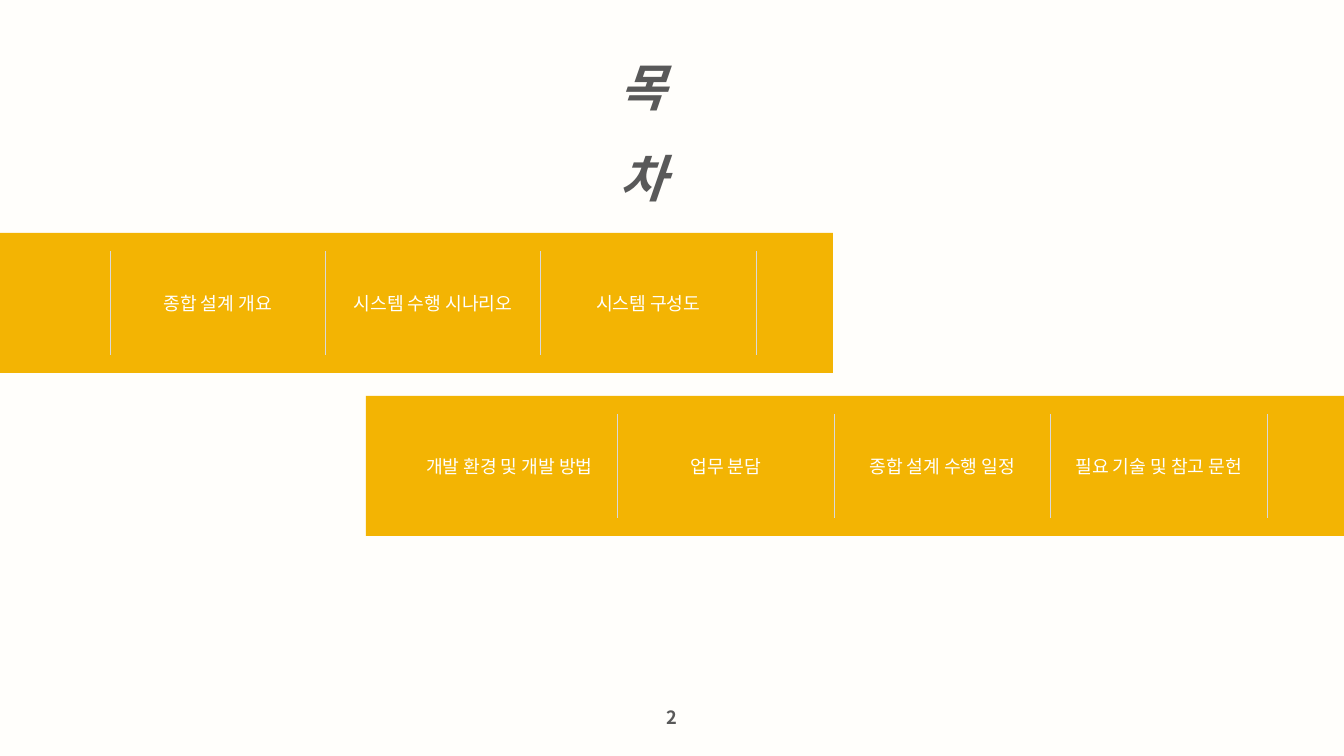
from lxml import etree
from pptx import Presentation, util as u
from pptx.dml.color import RGBColor
from pptx.enum import shapes, text
from pptx.oxml.ns import qn

PX = 12192000 / 1344
FONT = "Noto Sans CJK KR"
HUES = {"page": "FFFEFB", "band": "F3B403", "rule": "D9D9D9",
        "ink": "595959", "white": "FFFFFF"}


def px(*nums):
    return [u.Emu(round(n * PX)) for n in nums]


def write(frame, words, align, form, hue):
    para = frame.paragraphs[0]
    para.alignment = align
    run = para.add_run()
    run.text = words
    for key, val in form.items():
        setattr(run.font, key, val)
    run.font.name = FONT
    run.font.color.rgb = RGBColor.from_string(HUES[hue])
    etree.SubElement(run.font._element, qn("a:ea"), typeface=FONT)
    return para


deck = Presentation()
deck.slide_width, deck.slide_height = px(1344, 756)
slide = deck.slides.add_slide(deck.slide_layouts[5])
slide.background.fill.solid()
slide.background.fill.fore_color.rgb = RGBColor.from_string(HUES["page"])

# Title
title = slide.shapes.title
title.left, title.top, title.width, title.height = px(609, 21, 124, 93)
frame = title.text_frame
frame.word_wrap = True
frame.auto_size = text.MSO_AUTO_SIZE.NONE
frame.vertical_anchor = text.MSO_ANCHOR.TOP
para = write(frame, "목 차", text.PP_ALIGN.LEFT,
             {"size": u.Pt(36), "bold": True, "italic": True}, "ink")
para.line_spacing = 1.5
para.space_before = u.Pt(0)

# Bands: left, top, width, table left, column width, left rule, topics
bands = [
    (0, 233, 833, 110, 215.33, True,
     ["종합 설계 개요", "시스템 수행 시나리오", "시스템 구성도"]),
    (366, 396, 978, 401, 216.5, False,
     ["개발 환경 및 개발 방법", "업무 분담", "종합 설계 수행 일정",
      "필요 기술 및 참고 문헌"]),
]
for left, top, width, start, step, ruled, topics in bands:
    band = slide.shapes.add_shape(shapes.MSO_SHAPE.RECTANGLE,
                                  *px(left, top, width, 140))
    band.shadow.inherit = False
    band.fill.solid()
    band.fill.fore_color.rgb = RGBColor.from_string(HUES["band"])
    band.line.fill.background()

    # Topics, with thin rules between them
    grid = slide.shapes.add_table(
        1, len(topics), *px(start, top + 18, step * len(topics), 104)).table
    grid.first_row = grid.horz_banding = False
    for col, topic in enumerate(topics):
        grid.columns[col].width = px(step)[0]
        cell = grid.cell(0, col)
        cell.vertical_anchor = text.MSO_ANCHOR.MIDDLE
        write(cell.text_frame, topic, text.PP_ALIGN.CENTER,
              {"size": u.Pt(13), "bold": False}, "white")
        props = cell._tc.get_or_add_tcPr()
        for side in ("lnL", "lnR", "lnT", "lnB"):
            edge = etree.SubElement(props, qn("a:" + side), w="6350")
            if side == "lnR" or side == "lnL" and (col or ruled):
                fill = etree.SubElement(edge, qn("a:solidFill"))
                etree.SubElement(fill, qn("a:srgbClr"), val=HUES["rule"])
            else:
                etree.SubElement(edge, qn("a:noFill"))
        cell.fill.background()

# Page number
foot = slide.shapes.add_textbox(*px(0, 701, 1344, 32)).text_frame
foot.word_wrap = True
write(foot, "2", text.PP_ALIGN.CENTER, {"size": u.Pt(13), "bold": True}, "ink")

deck.save("out.pptx")
